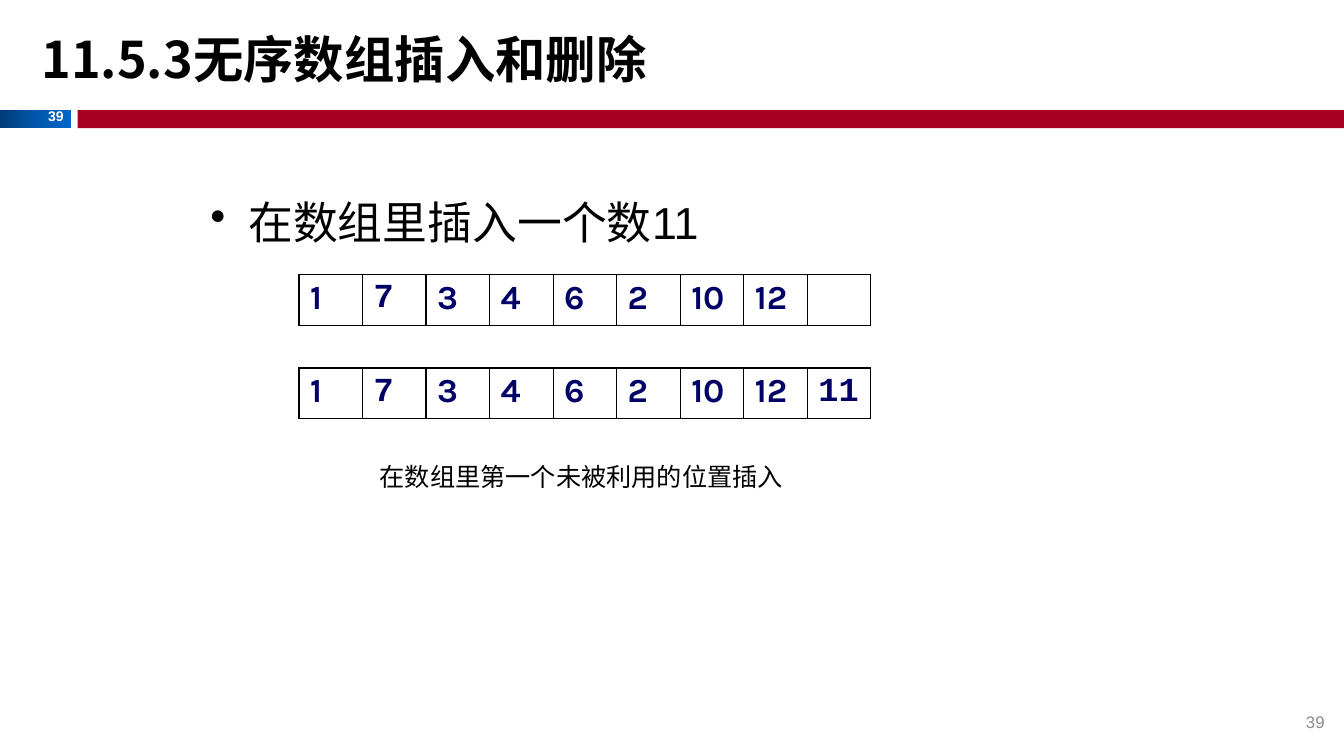
from copy import deepcopy
from dataclasses import dataclass

from pptx import Presentation
from pptx.dml.color import RGBColor
from pptx.enum.shapes import MSO_SHAPE
from pptx.enum.text import MSO_ANCHOR, MSO_AUTO_SIZE, PP_ALIGN
from pptx.oxml.ns import qn
from pptx.oxml.xmlchemy import OxmlElement
from pptx.util import Pt

RECT = MSO_SHAPE.RECTANGLE
TOP, MIDDLE = MSO_ANCHOR.TOP, MSO_ANCHOR.MIDDLE
LEFT, RIGHT = PP_ALIGN.LEFT, PP_ALIGN.RIGHT
FIT_SHAPE, NO_FIT = MSO_AUTO_SIZE.SHAPE_TO_FIT_TEXT, MSO_AUTO_SIZE.NONE

COLORS = {
    "black": "000000", "white": "FFFFFF", "gray": "8C8C8C", "navy": "000066",
    "crimson": "A50021", "blue_dark": "003C79", "blue_mid": "0056AC", "blue": "0066CC",
}
CJK_FONT = "Noto Sans CJK SC"


@dataclass
class Style:
    size: float
    color: str = "black"
    font: str = "Arial"
    bold: bool = False


@dataclass
class Label:
    text: str
    box: tuple[float, float, float, float]
    style: Style
    align: PP_ALIGN = LEFT
    anchor: MSO_ANCHOR = TOP
    wrap: bool = True
    bullet: bool = False


@dataclass
class ArrayRow:
    top: float
    values: list[str]


def rgb(name: str) -> RGBColor:
    return RGBColor.from_string(COLORS[name])


def add_run(paragraph, text: str, style: Style) -> None:
    run = paragraph.add_run()
    run.text = text
    run.font.size = Pt(style.size)
    run.font.bold = style.bold
    run.font.name = style.font
    run.font.color.rgb = rgb(style.color)
    east_asian = OxmlElement("a:ea")
    east_asian.set("typeface", CJK_FONT)
    run.font._element.find(qn("a:latin")).addnext(east_asian)


def add_bullet(paragraph, indent: float) -> None:
    properties = paragraph._p.get_or_add_pPr()
    properties.set("marL", str(Pt(indent)))
    properties.set("indent", str(-Pt(indent)))
    bullet = OxmlElement("a:buChar")
    bullet.set("char", "•")
    properties.append(bullet)


def add_label(slide, label: Label) -> None:
    frame = slide.shapes.add_textbox(*map(Pt, label.box)).text_frame
    frame.word_wrap = label.wrap
    frame.auto_size = NO_FIT if label.wrap else FIT_SHAPE
    frame.vertical_anchor = label.anchor
    paragraph = frame.paragraphs[0]
    paragraph.alignment = label.align
    if label.bullet:
        add_bullet(paragraph, 27)
    add_run(paragraph, label.text, label.style)


def add_bar(slide, left: float, width: float, colors: list[str]) -> None:
    bar = slide.shapes.add_shape(RECT, Pt(left), Pt(78.6), Pt(width), Pt(13))
    bar.shadow.inherit = False
    bar.line.fill.background()
    if len(colors) == 1:
        bar.fill.solid()
        bar.fill.fore_color.rgb = rgb(colors[0])
        return
    bar.fill.gradient()
    bar.fill.gradient_angle = 0
    first_stop = bar._element.spPr.find(".//" + qn("a:gs"))
    for _ in colors[2:]:
        first_stop.addnext(deepcopy(first_stop))
    for index, (stop, color) in enumerate(zip(bar.fill.gradient_stops, colors)):
        stop.position = index / (len(colors) - 1)
        stop.color.rgb = rgb(color)


def add_borders(cell) -> None:
    properties = cell._tc.get_or_add_tcPr()
    for side in ("L", "R", "T", "B"):
        line = OxmlElement(f"a:ln{side}")
        line.set("w", str(Pt(1)))
        fill = OxmlElement("a:solidFill")
        color = OxmlElement("a:srgbClr")
        color.set("val", COLORS["black"])
        fill.append(color)
        line.append(fill)
        properties.append(line)


def add_array(slide, array: ArrayRow) -> None:
    cell_width, cell_height = 45.4, 36
    count = len(array.values)
    table = slide.shapes.add_table(1, count, Pt(213.6), Pt(array.top),
                                   Pt(cell_width * count), Pt(cell_height)).table
    table.first_row = table.horz_banding = False
    for column, value in enumerate(array.values):
        table.columns[column].width = Pt(cell_width)
        cell = table.cell(0, column)
        add_borders(cell)
        cell.fill.background()
        cell.margin_left = cell.margin_right = Pt(7.9)
        cell.margin_top = cell.margin_bottom = Pt(3.6)
        if value:
            font = "Courier New" if value in ("7", "11") else "Karla"
            paragraph = cell.text_frame.paragraphs[0]
            paragraph.line_spacing = 0.95
            add_run(paragraph, value, Style(24, "navy", font, True))


def add_title(slide, text: str) -> None:
    title = slide.shapes.title
    title.left, title.top, title.width, title.height = map(Pt, (22.3, 15.1, 907.2, 53.3))
    frame = title.text_frame
    frame.word_wrap = True
    frame.auto_size = NO_FIT
    frame.vertical_anchor = MIDDLE
    frame.paragraphs[0].alignment = LEFT
    add_run(frame.paragraphs[0], text, Style(36, font=CJK_FONT, bold=True))


BARS = [(0, 51, ["blue_dark", "blue_mid", "blue"]), (55.5, 904.5, ["crimson"])]
PAGE = "39"
LABELS = [
    Label(PAGE, (25.2, 73.4, 27.4, 19.4), Style(10, "white", bold=True), RIGHT, wrap=False),
    Label("在数组里插入一个数11", (143.3, 135.4, 672.5, 342.7), Style(32), bullet=True),
    Label(PAGE, (737.3, 501.1, 216, 28.8), Style(12, "gray"), RIGHT, MIDDLE),
    Label("在数组里第一个未被利用的位置插入", (264.2, 326.2, 305.3, 28.8), Style(18), wrap=False),
]
NUMBERS = ["1", "7", "3", "4", "6", "2", "10", "12"]
ARRAYS = [ArrayRow(196.3, NUMBERS + [""]), ArrayRow(262.9, NUMBERS + ["11"])]


def main() -> None:
    deck = Presentation()
    deck.slide_width, deck.slide_height = Pt(960), Pt(540)
    slide = deck.slides.add_slide(deck.slide_layouts[5])
    slide.background.fill.solid()
    slide.background.fill.fore_color.rgb = rgb("white")

    # Header band and title
    for left, width, colors in BARS:
        add_bar(slide, left, width, colors)
    add_title(slide, "11.5.3无序数组插入和删除")

    # Bullet, caption and page numbers
    for label in LABELS:
        add_label(slide, label)

    # Array before and after the insertion
    for array in ARRAYS:
        add_array(slide, array)

    deck.save("out.pptx")


if __name__ == "__main__":
    main()
